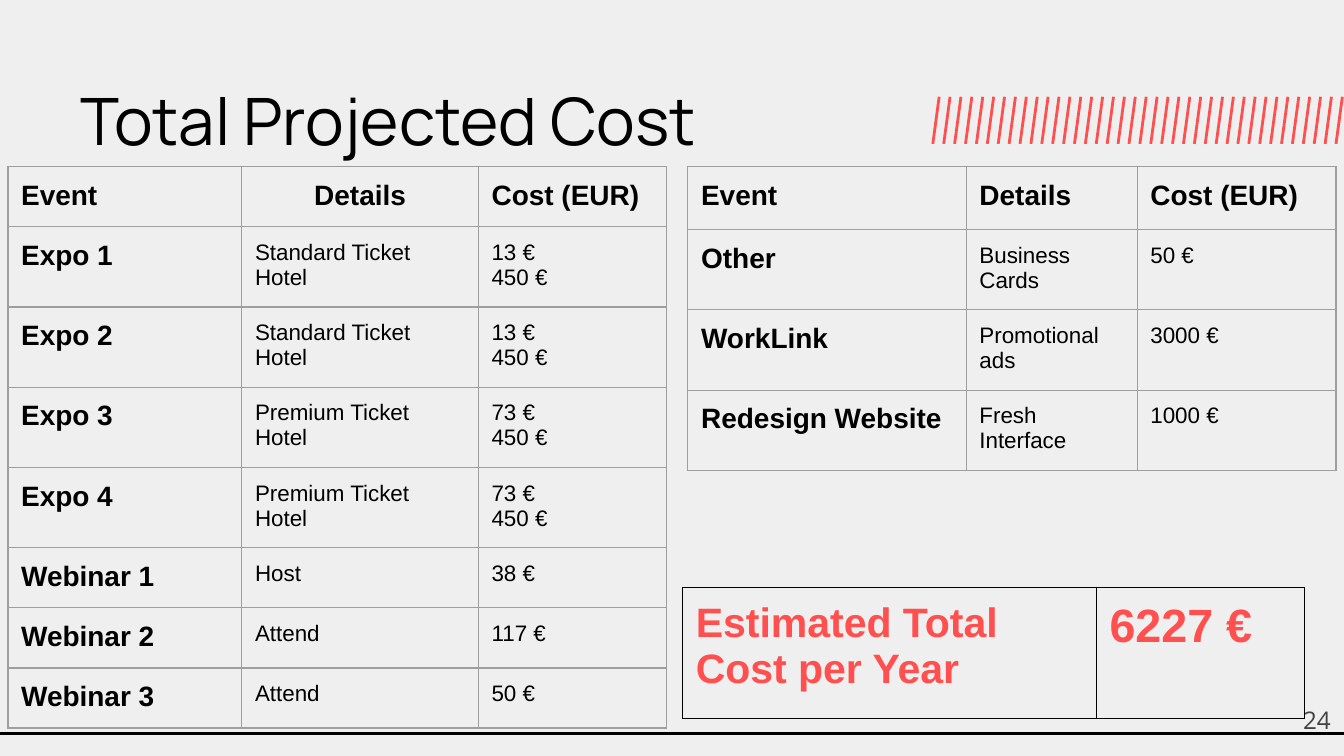
from dataclasses import dataclass

from lxml import etree
from pptx import Presentation
from pptx.dml.color import RGBColor
from pptx.enum.shapes import MSO_CONNECTOR
from pptx.enum.text import MSO_ANCHOR, PP_ALIGN
from pptx.oxml.ns import qn
from pptx.util import Cm, Pt

STRAIGHT = MSO_CONNECTOR.STRAIGHT
TOP, MIDDLE = MSO_ANCHOR.TOP, MSO_ANCHOR.MIDDLE
LEFT, CENTER, RIGHT = PP_ALIGN.LEFT, PP_ALIGN.CENTER, PP_ALIGN.RIGHT


@dataclass(frozen=True)
class Theme:
    paper: RGBColor = RGBColor(0xEF, 0xEF, 0xEF)
    ink: RGBColor = RGBColor(0, 0, 0)
    accent: RGBColor = RGBColor(0xFF, 0x4F, 0x4F)
    muted: RGBColor = RGBColor(0x43, 0x43, 0x43)
    grid: RGBColor = RGBColor(0x9E, 0x9E, 0x9E)
    title: int = 35
    total: int = 25
    total_label: int = 22
    head: int = 15
    page: int = 13
    body: int = 12


theme = Theme()


def write(tf, text, font, size, color, bold=False, align=LEFT):
    tf.text = text
    tf.word_wrap = True
    for p in tf.paragraphs:
        p.alignment = align
        p.font.name, p.font.size, p.font.bold = font, Pt(size), bold
        p.font.color.rgb = color


def add_grid(s, left, top, widths, heights, border):
    frame = s.shapes.add_table(len(heights), len(widths), Cm(left), Cm(top),
                               Cm(sum(widths)), Cm(sum(heights)))
    table = frame.table
    table.first_row = table.horz_banding = False
    for column, width in zip(table.columns, widths):
        column.width = Cm(width)
    for row, height in zip(table.rows, heights):
        row.height = Cm(height)
    for cell in table.iter_cells():
        cell.margin_left = cell.margin_right = Cm(0.25)
        cell.margin_top = cell.margin_bottom = Cm(0.25)
        tcPr = cell._tc.get_or_add_tcPr()
        for side in ("a:lnL", "a:lnR", "a:lnT", "a:lnB"):
            ln = etree.SubElement(tcPr, qn(side), w=str(Pt(0.75)))
            fill = etree.SubElement(ln, qn("a:solidFill"))
            etree.SubElement(fill, qn("a:srgbClr"), val=str(border))
        cell.fill.background()
    return table


prs = Presentation()
prs.slide_width, prs.slide_height = Cm(25.4), Cm(14.29)
s = prs.slides.add_slide(prs.slide_layouts[6])
s.background.fill.solid()
s.background.fill.fore_color.rgb = theme.paper

hatch = s.shapes.add_group_shape()
stroke_count = 38
first_x, last_x = 17.75, 25.37
for i in range(stroke_count):
    x = first_x + i * (last_x - first_x) / (stroke_count - 1)
    fb = hatch.shapes.build_freeform(Cm(x), Cm(1.83))
    fb.add_line_segments([(Cm(x - 0.12), Cm(2.72))], close=False)
    stroke = fb.convert_to_shape()
    stroke.shadow.inherit = False
    stroke.fill.background()
    stroke.line.color.rgb = theme.accent
    stroke.line.width = Pt(1.5)

footer_line = s.shapes.add_connector(STRAIGHT, Cm(-0.18), Cm(13.87), Cm(25.65), Cm(13.87))
footer_line.line.color.rgb = theme.ink
footer_line.line.width = Pt(1.5)
etree.SubElement(footer_line._element.spPr, qn("a:effectLst"))

labels = [
    ("Total Projected Cost", (1.27, 1.37, 21.41, 1.6), "Manrope", theme.title, theme.ink, LEFT, TOP, 0.95),
    ("24", (23.88, 13.06, 1.52, 1.09), "Open Sans", theme.page, theme.muted, RIGHT, MIDDLE, 1.0),
]
for text, box, font, size, color, align, anchor, spacing in labels:
    tf = s.shapes.add_textbox(*map(Cm, box)).text_frame
    tf.margin_left = tf.margin_right = tf.margin_top = tf.margin_bottom = Cm(0.25)
    tf.vertical_anchor = anchor
    write(tf, text, font, size, color, align=align)
    tf.paragraphs[0].line_spacing = spacing

header = ("Event", "Details", "Cost (EUR)")
event_rows = [
    header,
    ("Expo 1", "Standard Ticket\nHotel", "13 €\n450 €"),
    ("Expo 2", "Standard Ticket\nHotel", "13 €\n450 €"),
    ("Expo 3", "Premium Ticket\nHotel", "73 €\n450 €"),
    ("Expo 4", "Premium Ticket\nHotel", "73 €\n450 €"),
    ("Webinar 1", "Host", "38 €"),
    ("Webinar 2", "Attend", "117 €"),
    ("Webinar 3", "Attend", "50 €"),
]
other_rows = [
    header,
    ("Other", "Business Cards", "50 €"),
    ("WorkLink", "Promotional ads", "3000 €"),
    ("Redesign Website", "Fresh Interface", "1000 €"),
]
cost_tables = [
    (event_rows, 0.15, (4.42, 4.47, 3.56), [1.12] + [1.5] * 4 + [1.12] * 3, CENTER),
    (other_rows, 13, (5.26, 3.23, 3.76), [1.19] + [1.47] * 3, LEFT),
]
for rows, left, widths, heights, details_align in cost_tables:
    table = add_grid(s, left, 3.15, widths, heights, theme.grid)
    for i, row in enumerate(rows):
        for j, text in enumerate(row):
            strong = i == 0 or j == 0
            write(table.cell(i, j).text_frame, text, "Arial",
                  theme.head if strong else theme.body, theme.ink, strong,
                  details_align if (i, j) == (0, 1) else LEFT)

total_table = add_grid(s, 12.9, 11.1, (7.82, 3.94), [2.48], theme.ink)
totals = [("Estimated Total Cost per Year", theme.total_label), ("6227 €", theme.total)]
for j, (text, size) in enumerate(totals):
    write(total_table.cell(0, j).text_frame, text, "Arial", size, theme.accent, True)

prs.save("out.pptx")
